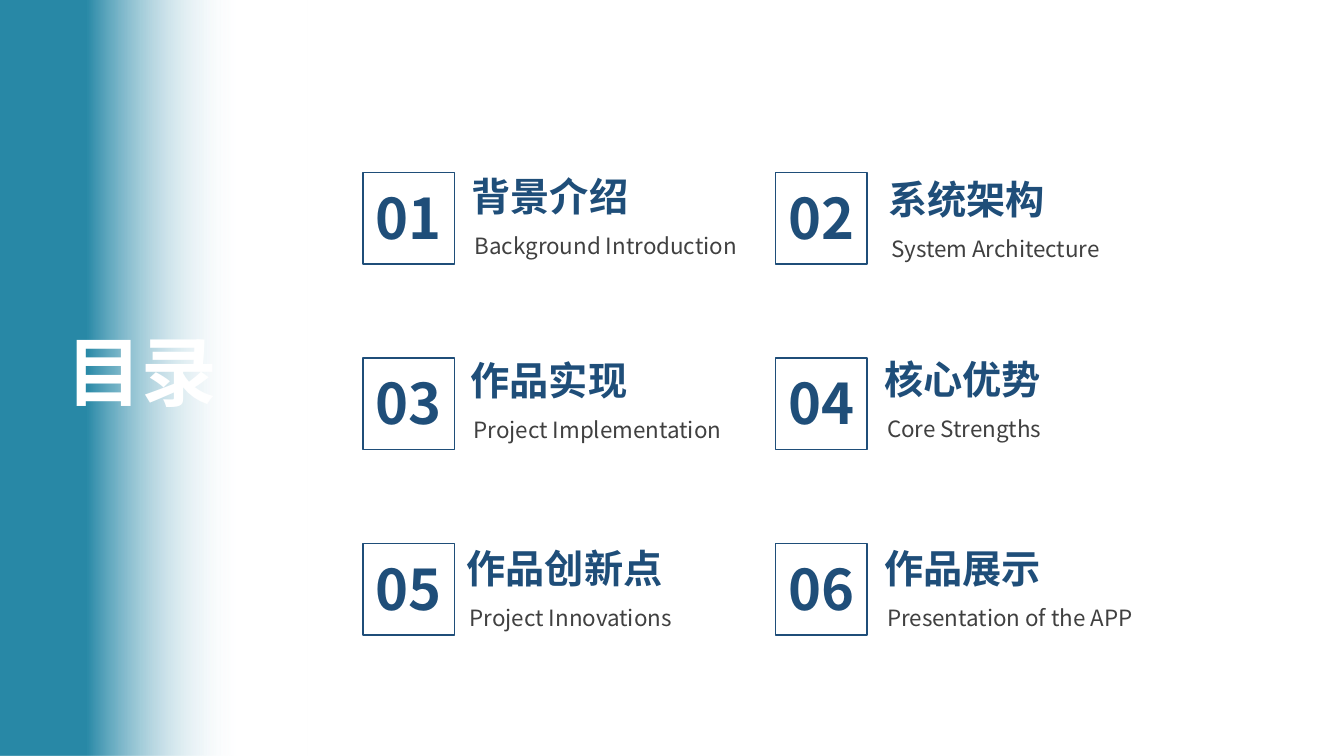
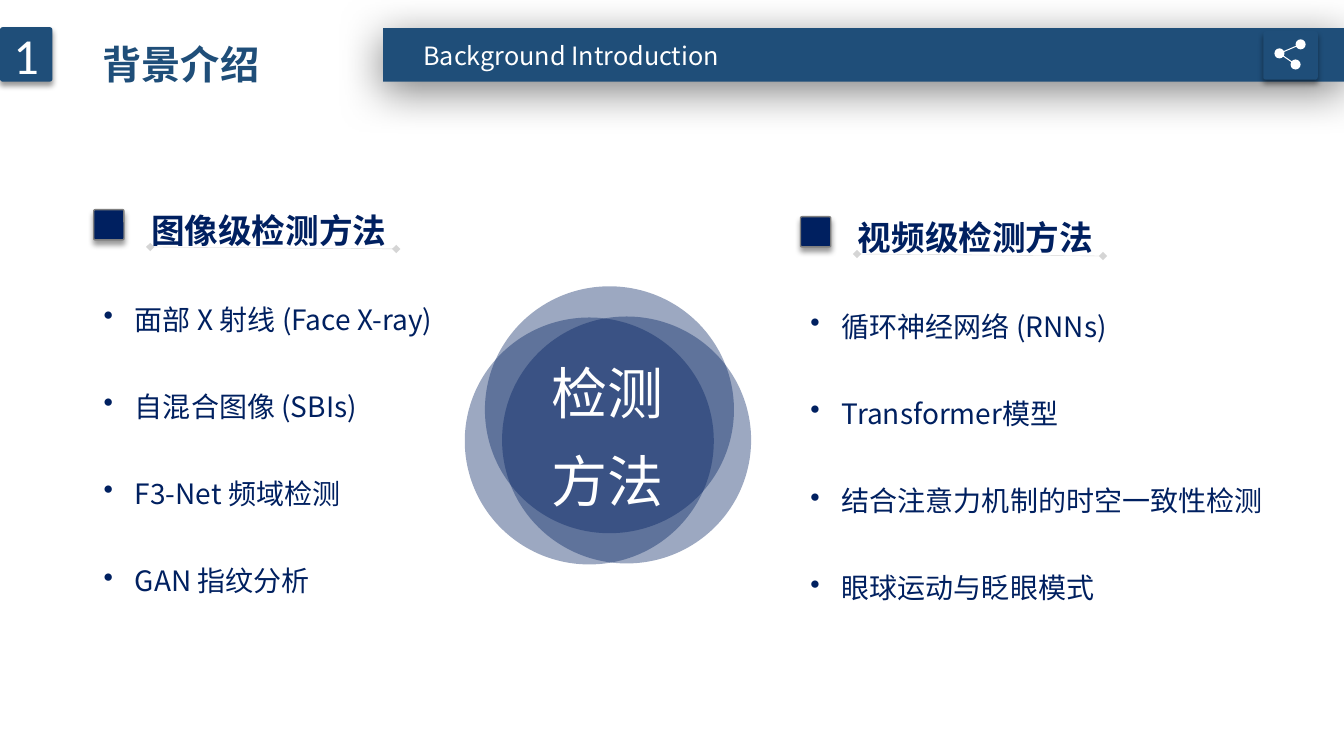
from pptx import Presentation
from pptx.dml.color import RGBColor
from pptx.enum import shapes, text
from pptx.oxml.ns import qn
from pptx.util import Emu, Inches, Pt
from lxml import etree

# Shared look
WIDTH, HEIGHT = 13.33, 7.5
FONT = "Noto Sans CJK SC"
BLUE, NAVY, TEAL, PALE = "1F4E79", "002060", "157E9F", "F7FAFD"
WHITE, BLACK, DARK, GREY, RULE_GREY = "FFFFFF", "000000", "404040", "7F7F7F", "808080"
SOFT_SHADOW = (40, 4, 3, 90)  # opacity %, blur pt, distance pt, direction
WIDE_SHADOW = (50, 31, 6, 97)

# Contents grid
COLUMNS = (3.6, 7.69)
ROW_TOP, ROW_STEP = 1.71, 1.84
BOX = 0.91
# Number, heading, caption, heading offset from its box
CONTENTS = [
    ("01", "背景介绍", "Background Introduction", (0.98, -0.05)),
    ("02", "系统架构", "System Architecture", (1.02, -0.02)),
    ("03", "作品实现", "Project Implementation", (0.97, -0.06)),
    ("04", "核心优势", "Core Strengths", (0.98, -0.07)),
    ("05", "作品创新点", "Project Innovations", (0.93, -0.04)),
    ("06", "作品展示", "Presentation of the APP", (0.98, -0.04)),
]

# Left, top, heading, bullets
SECTIONS = [
    (0.93, 2.08, "图像级检测方法",
     ["面部 X 射线 (Face X-ray)", "自混合图像 (SBIs)", "F3-Net 频域检测", "GAN 指纹分析"]),
    (7.94, 2.15, "视频级检测方法",
     ["循环神经网络 (RNNs)", "Transformer模型", "结合注意力机制的时空一致性检测", "眼球运动与眨眼模式"]),
]


def color(value):
    return RGBColor.from_string(value)


def child(parent, tag, **attributes):
    element = etree.SubElement(parent, qn(tag))
    for name, value in attributes.items():
        element.set(name, str(value))
    return element


def set_opacity(parent, *percents):
    """Give the colours below parent their opacities, in order."""
    for element, percent in zip(parent.iter(qn("a:srgbClr")), percents):
        child(element, "a:alpha", val=percent * 1000)


def write(frame, paragraphs, size=16, fill=DARK, bold=False, font=FONT,
          align=None, spacing=None, after=0, bullet=None):
    """Put formatted paragraphs into a text frame."""
    for index, words in enumerate(paragraphs):
        paragraph = frame.paragraphs[0] if index == 0 else frame.add_paragraph()
        paragraph.alignment = align
        if spacing:
            paragraph.line_spacing = spacing
        if after:
            paragraph.space_after = Pt(after)
        if bullet:
            properties = paragraph._p.get_or_add_pPr()
            properties.set("marL", str(Inches(0.31)))
            properties.set("indent", str(-Inches(0.31)))
            child(properties, "a:buChar", char=bullet)
        run = paragraph.add_run()
        run.text = words
        run.font.size, run.font.bold, run.font.name = Pt(size), bold, font
        run.font.color.rgb = color(fill)
        child(run._r.get_or_add_rPr(), "a:ea", typeface=font)


def add_text(slide, box, *paragraphs, wrap=True, **style):
    frame = slide.shapes.add_textbox(*map(Inches, box)).text_frame
    frame.word_wrap = wrap
    write(frame, paragraphs, **style)


def add_block(slide, kind, box, fill=None, line=None, opacity=None, shadow=None):
    shape = slide.shapes.add_shape(getattr(shapes.MSO_SHAPE, kind), *map(Inches, box))
    if kind == "ROUNDED_RECTANGLE":
        shape.adjustments[0] = 0.05
    if fill:
        shape.fill.solid()
        shape.fill.fore_color.rgb = color(fill)
    else:
        shape.fill.background()
    if opacity:
        set_opacity(shape._element.spPr, opacity)
    if line:
        shape.line.color.rgb = color(line)
        shape.line.width = Pt(1)
    else:
        shape.line.fill.background()
    shape.shadow.inherit = False
    if shadow:
        percent, blur, distance, direction = shadow
        effects = shape._element.spPr.find(qn("a:effectLst"))
        outer = child(effects, "a:outerShdw", blurRad=Pt(blur), dist=Pt(distance),
                      dir=direction * 60000, algn="t", rotWithShape=0)
        child(outer, "a:srgbClr", val=BLACK)
        set_opacity(outer, percent)
    return shape


def add_line(slide, start, end, fill, width, opacity=None, ends=None):
    line = slide.shapes.add_connector(
        shapes.MSO_CONNECTOR.STRAIGHT, *map(Inches, start + end))
    line.line.color.rgb = color(fill)
    line.line.width = Pt(width)
    outline = line.line._get_or_add_ln()
    if opacity:
        set_opacity(outline, opacity)
    if ends:
        child(outline, "a:headEnd", type=ends)
        child(outline, "a:tailEnd", type=ends)
    child(line._element.spPr, "a:effectLst")


def add_fading_band(slide, box):
    band = add_block(slide, "RECTANGLE", box)
    band.fill.gradient()
    band.fill.gradient_angle = 180
    for stop, position, value in zip(band.fill.gradient_stops, (0.22, 0.72), (PALE, TEAL)):
        stop.position = position
        stop.color.rgb = color(value)
    set_opacity(band._element.spPr, 0, 91)


def add_contents_entry(slide, index, number, heading, caption, offset):
    row, column = divmod(index, len(COLUMNS))
    left, top = COLUMNS[column], ROW_TOP + row * ROW_STEP
    add_block(slide, "RECTANGLE", (left, top, BOX, BOX), line=BLUE)
    add_text(slide, (left, top + 0.06, BOX, 0.77), number, size=40, fill=BLUE,
             bold=True, align=text.PP_ALIGN.CENTER)
    left, top = left + offset[0], top + offset[1]
    add_text(slide, (left, top, 2.62, 0.57), heading, size=28, fill=BLUE, bold=True)
    add_text(slide, (left + 0.03, top + 0.59, 3.11, 0.37), caption)


def add_share_icon(slide):
    add_block(slide, "ROUNDED_RECTANGLE", (12.53, 0.31, 0.54, 0.48), BLUE, shadow=SOFT_SHADOW)
    hub, *leaves = nodes = [(12.69, 0.53), (12.9, 0.44), (12.85, 0.64)]
    for leaf in leaves:
        add_line(slide, hub, leaf, WHITE, 0.75)
    radius = 0.05
    for x, y in nodes:
        add_block(slide, "OVAL", (x - radius, y - radius, 2 * radius, 2 * radius), WHITE)


def add_header(slide, number, title, caption):
    add_block(slide, "RECTANGLE", (3.8, 0.28, WIDTH - 3.8, 0.53), BLUE, shadow=WIDE_SHADOW)
    tab = add_block(slide, "ROUNDED_RECTANGLE", (0, 0.27, 0.52, 0.54), BLUE, shadow=SOFT_SHADOW)
    tab.text_frame.vertical_anchor = text.MSO_ANCHOR.MIDDLE
    write(tab.text_frame, [number], size=36, fill=WHITE, font="Calibri",
          align=text.PP_ALIGN.CENTER)
    add_text(slide, (4.07, 0.35, 3.19, 0.4), caption, size=18, fill=WHITE, wrap=False,
             align=text.PP_ALIGN.CENTER)
    add_share_icon(slide)
    add_text(slide, (0.92, 0.12, 1.8, 0.72), title, size=28, fill=BLUE, bold=True,
             wrap=False, spacing=1.5)


def add_section(slide, left, top, heading, bullets):
    add_block(slide, "ROUNDED_RECTANGLE", (left, top, 0.3, 0.3), NAVY, GREY, shadow=SOFT_SHADOW)
    add_text(slide, (left + 0.47, top - 0.17, 2.56, 0.57), heading, size=24, fill=NAVY,
             bold=True, wrap=False, spacing=1.3)
    add_line(slide, (left + 0.56, top + 0.37), (left + 3, top + 0.39), RULE_GREY, 0.25,
             opacity=33, ends="diamond")
    add_text(slide, (left, top + 0.77, 4.79, 3.16), *bullets, size=20, fill=NAVY,
             spacing=1.3, after=31, bullet="•")


def build_contents(slide):
    add_fading_band(slide, (0, 0, 3.05, HEIGHT))
    add_text(slide, (0.56, 3.17, 1.72, 1.01), "目录", size=54, fill=WHITE, bold=True, wrap=False)
    for index, entry in enumerate(CONTENTS):
        add_contents_entry(slide, index, *entry)


def build_background(slide):
    # Overlapping circles
    for left, top in ((4.61, 3.15), (4.81, 2.84), (4.98, 3.14)):
        add_block(slide, "OVAL", (left, top, 2.47, 2.45), NAVY, opacity=39)
    add_text(slide, (5.19, 3.31, 1.67, 1.85), "检测方法", size=40, fill=WHITE,
             align=text.PP_ALIGN.CENTER, spacing=1.3)
    for section in SECTIONS:
        add_section(slide, *section)
    add_header(slide, "1", "背景介绍", "Background Introduction")


def main():
    presentation = Presentation()
    presentation.slide_width = Emu(Inches(WIDTH))
    presentation.slide_height = Emu(Inches(HEIGHT))
    for build in (build_contents, build_background):
        build(presentation.slides.add_slide(presentation.slide_layouts[6]))
    presentation.save("out.pptx")


if __name__ == "__main__":
    main()
